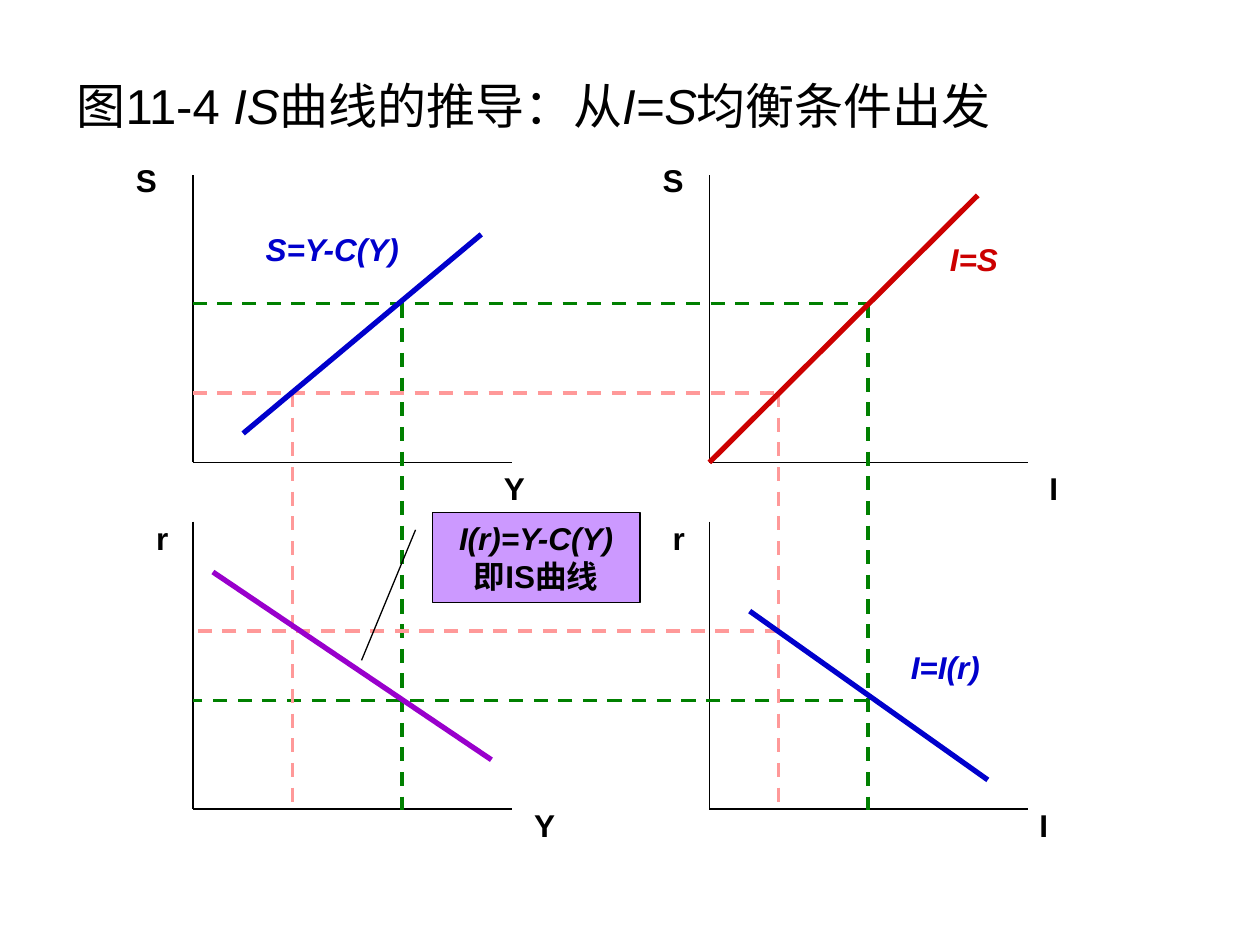
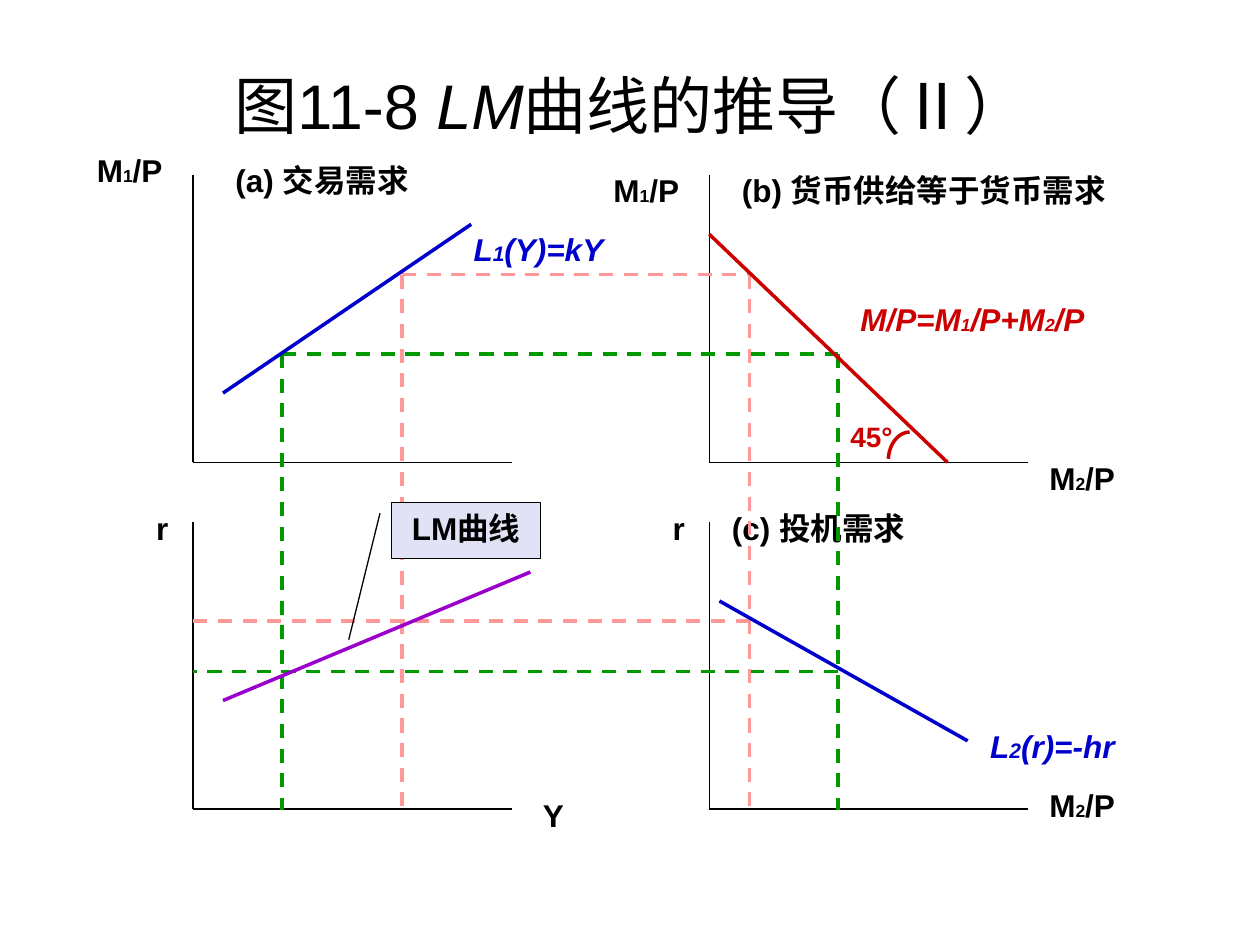
from lxml import etree
from pptx import Presentation
from pptx.dml.color import RGBColor
from pptx.enum.dml import MSO_LINE
from pptx.enum.shapes import MSO_CONNECTOR, MSO_SHAPE
from pptx.enum.text import MSO_ANCHOR, PP_ALIGN
from pptx.oxml.ns import qn
from pptx.util import Inches, Pt

STRAIGHT = MSO_CONNECTOR.STRAIGHT
CALLOUT = MSO_SHAPE.LINE_CALLOUT_1
ARC = MSO_SHAPE.ARC
DASH = MSO_LINE.DASH
TOP, MIDDLE = MSO_ANCHOR.TOP, MSO_ANCHOR.MIDDLE
LEFT, CENTER = PP_ALIGN.LEFT, PP_ALIGN.CENTER

FONT = "Arial"
COLORS = {
    "black": "000000",
    "blue": "0000CC",
    "red": "CC0000",
    "purple": "9900CC",
    "pink": "FF9999",
    "dark green": "008000",
    "green": "009900",
    "violet": "CC99FF",
    "lavender": "E2E2F6",
}
AXIS_LEFTS = (1.53, 5.63)
AXIS_TOPS = (1.39, 4.14)
AXIS_WIDTH, AXIS_HEIGHT = 2.53, 2.28
BASELINE = 6.43


def add_line(slide, start, end, color, width, dashed=False):
    line = slide.shapes.add_connector(
        STRAIGHT, *(Inches(value) for value in (*start, *end)))
    line.line.color.rgb = RGBColor.from_string(COLORS[color])
    line.line.width = Pt(width)
    if dashed:
        line.line.dash_style = DASH
    etree.SubElement(line._element.spPr, qn("a:effectLst"))


def write_paragraph(paragraph, pieces, size, color="black", bold=True,
                    italic=False, subscript=None):
    paragraph.font.name = FONT
    paragraph.font.size = Pt(size)
    paragraph.font.bold = bold
    paragraph.font.italic = italic
    paragraph.font.color.rgb = RGBColor.from_string(COLORS[color])
    for index, piece in enumerate(pieces):
        run = paragraph.add_run()
        run.text = piece
        if index % 2 and subscript:
            run.font.size = Pt(subscript)
        elif index % 2:
            run.font.italic = True


M1, M2 = ["M", "1", "/P"], ["M", "2", "/P"]

figures = [
    {
        "title": ["图11-4 ", "IS", "曲线的推导：从", "I=S", "均衡条件出发"],
        "title size": 28,
        "title alignment": LEFT,
        "labels": [
            (["S"], 0.98, 1.23, 0.38), (["Y"], 3.9, 3.67, 0.38),
            (["S"], 5.16, 1.23, 0.38), (["I"], 8.23, 3.67, 0.38),
            (["r"], 1.14, 4.07, 0.38), (["Y"], 4.14, 6.35, 0.38),
            (["r"], 5.24, 4.07, 0.38), (["I"], 8.15, 6.35, 0.38),
        ],
        "formulas": [
            (["S=Y-C(Y)"], 2.01, 1.78, 1.32, "blue", None),
            (["I=S"], 7.44, 1.86, 0.72, "red", None),
            (["I=I(r)"], 7.13, 5.09, 1.32, "blue", None),
        ],
        "guides": [("dark green", 1.53, 3.19, 2.41, 6.89, 5.56),
                   ("pink", 1.53, 2.32, 3.12, 6.18, 5.01)],
        "curve width": 3,
        "curves": [
            ((3.9, 6.03), (1.69, 4.54), "purple"),
            ((1.93, 3.44), (3.82, 1.86), "blue"),
            ((5.63, 3.67), (7.76, 1.55), "red"),
            ((5.95, 4.85), (7.84, 6.19), "blue"),
        ],
        "callout": (3.43, 4.07, 1.65, 0.71),
        "callout fill": "violet",
        "callout pointer": (0.19, -0.08, 1.65, -0.34),
        "callout text": [("I(r)=Y-C(Y)", True), ("即IS曲线", False)],
    },
    {
        "title": ["图11-8 ", "LM", "曲线的推导（Ⅱ）"],
        "title size": 36,
        "title alignment": CENTER,
        "labels": [
            (M1, 0.67, 1.15, 0.82), (["(a) 交易需求"], 1.77, 1.23, 1.7),
            (M1, 4.77, 1.31, 0.82),
            (["(b) 货币供给等于货币需求"], 5.79, 1.31, 3.46),
            (M2, 8.23, 3.59, 1.1), (["r"], 1.14, 3.99, 0.31),
            (["Y"], 4.21, 6.27, 0.31), (["r"], 5.24, 3.99, 0.32),
            (["(c) 投机需求"], 5.71, 3.99, 1.81), (M2, 8.23, 6.19, 0.87),
        ],
        "formulas": [
            (["L", "1", "(Y)=kY"], 3.66, 1.78, 2.11, "blue", 12),
            (["M/P=M", "1", "/P+M", "2", "/P"], 6.73, 2.33, 2.17, "red", 10),
            (["L", "2", "(r)=-hr"], 7.76, 5.72, 2.11, "blue", 12),
        ],
        "guides": [("green", 2.24, 2.24, 2.81, 6.65, 5.33),
                   ("pink", 3.19, 3.19, 2.18, 5.95, 4.93)],
        "curve width": 2,
        "curves": [
            ((1.77, 3.12), (3.74, 1.78), "blue"),
            ((5.63, 1.86), (7.52, 3.67), "red"),
            ((5.71, 4.77), (7.68, 5.88), "blue"),
            ((1.77, 5.56), (4.21, 4.54), "purple"),
        ],
        "callout": (3.11, 3.99, 1.18, 0.44),
        "callout fill": "lavender",
        "callout pointer": (0.19, -0.08, 2.47, -0.29),
        "callout text": [("LM曲线", False)],
    },
]

presentation = Presentation()
presentation.slide_width = Inches(10)
presentation.slide_height = Inches(7.5)

for figure in figures:
    slide = presentation.slides.add_slide(presentation.slide_layouts[6])

    title = slide.shapes.add_textbox(
        Inches(0.51), Inches(0.36), Inches(9), Inches(0.94))
    title.text_frame.word_wrap = True
    title.text_frame.vertical_anchor = MIDDLE
    paragraph = title.text_frame.paragraphs[0]
    paragraph.alignment = figure["title alignment"]
    write_paragraph(paragraph, figure["title"], figure["title size"], bold=False)

    for left in AXIS_LEFTS:
        for top in AXIS_TOPS:
            origin = (left, top + AXIS_HEIGHT)
            add_line(slide, (left, top), origin, "black", 1)
            add_line(slide, origin, (left + AXIS_WIDTH, origin[1]), "black", 1)

    for pieces, left, top, width in figure["labels"]:
        label = slide.shapes.add_textbox(
            Inches(left), Inches(top), Inches(width), Inches(0.4))
        label.text_frame.word_wrap = True
        write_paragraph(label.text_frame.paragraphs[0], pieces, 18, subscript=10)

    for pieces, left, top, width, color, subscript in figure["formulas"]:
        formula = slide.shapes.add_textbox(
            Inches(left), Inches(top), Inches(width), Inches(0.4))
        formula.text_frame.word_wrap = True
        write_paragraph(formula.text_frame.paragraphs[0], pieces, 18, color,
                        italic=True, subscript=subscript)

    for color, start, left, upper, right, lower in figure["guides"]:
        for begin, end in (
            ((start, upper), (right, upper)),
            ((right, upper), (right, BASELINE)),
            ((right, lower), (AXIS_LEFTS[0], lower)),
            ((left, upper), (left, BASELINE)),
        ):
            add_line(slide, begin, end, color, 2, dashed=True)

    for begin, end, color in figure["curves"]:
        add_line(slide, begin, end, color, figure["curve width"])

    callout = slide.shapes.add_shape(
        CALLOUT, *(Inches(value) for value in figure["callout"]))
    callout.shadow.inherit = False
    callout.fill.solid()
    callout.fill.fore_color.rgb = RGBColor.from_string(
        COLORS[figure["callout fill"]])
    callout.line.color.rgb = RGBColor.from_string(COLORS["black"])
    callout.line.width = Pt(0.75)
    for index, value in enumerate(figure["callout pointer"]):
        callout.adjustments[index] = value
    frame = callout.text_frame
    frame.word_wrap = True
    frame.vertical_anchor = TOP
    for index, (text, italic) in enumerate(figure["callout text"]):
        paragraph = frame.add_paragraph() if index else frame.paragraphs[0]
        paragraph.alignment = CENTER
        write_paragraph(paragraph, [text], 18, italic=italic)

angle_arc = slide.shapes.add_shape(
    ARC, Inches(7.05), Inches(3.43), Inches(0.34), Inches(0.46))
angle_arc.shadow.inherit = False
angle_arc.fill.background()
angle_arc.line.color.rgb = RGBColor.from_string(COLORS["red"])
angle_arc.line.width = Pt(2)
angle_arc.adjustments[0] = 186 * 0.6
angle_arc.adjustments[1] = 270 * 0.6

angle_label = slide.shapes.add_textbox(
    Inches(6.65), Inches(3.28), Inches(0.97), Inches(0.37))
angle_label.text_frame.word_wrap = True
write_paragraph(angle_label.text_frame.paragraphs[0], ["45°"], 16, "red")

presentation.save("out.pptx")
